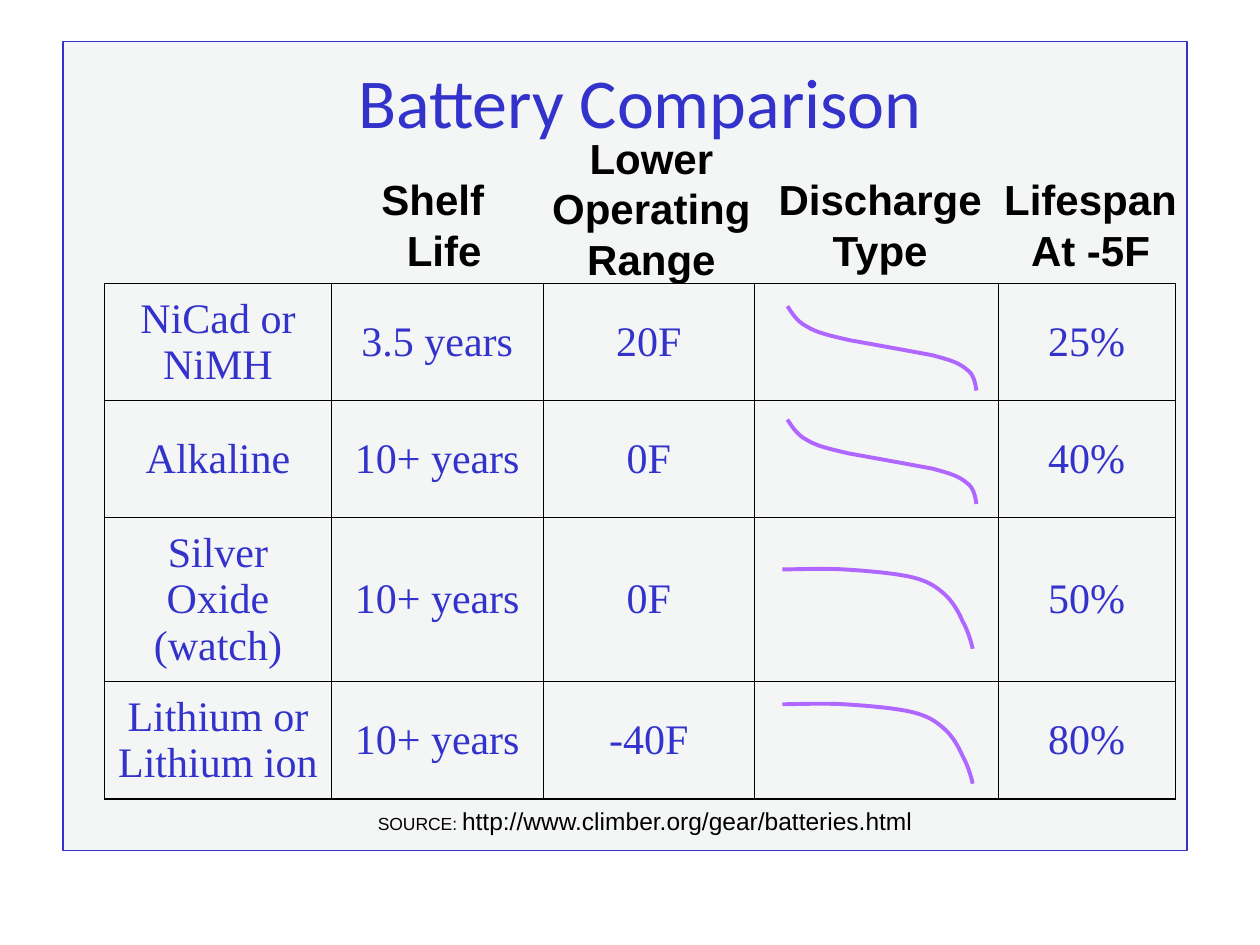
from lxml import etree
from pptx import Presentation
from pptx.dml.color import RGBColor
from pptx.enum.shapes import MSO_SHAPE
from pptx.enum.text import MSO_ANCHOR, PP_ALIGN
from pptx.oxml.ns import qn
from pptx.util import Inches, Pt

BLUE = RGBColor(0x33, 0x33, 0xCC)
PURPLE = RGBColor(0xAF, 0x67, 0xFF)
PALE = RGBColor(0xE8, 0xEA, 0xE9)
BLACK = RGBColor(0, 0, 0)

COL_WIDTHS = [1.8, 1.68, 1.68, 1.93, 1.41]
ROW_HEIGHTS = [0.93, 0.93, 1.3, 0.93]
BATTERIES = [
    ("NiCad or NiMH", "3.5 years", "20F", "", "25%"),
    ("Alkaline", "10+ years", "0F", "", "40%"),
    ("Silver Oxide (watch)", "10+ years", "0F", "", "50%"),
    ("Lithium or Lithium ion", "10+ years", "-40F", "", "80%"),
]
# left, top, width, height, lines, wrap, hanging indent
HEADERS = [
    (2.92, 1.33, 1.03, 0.9, ["Shelf Life"], True, 0.18),
    (4.17, 1, 2, 1.3, ["Lower Operating Range"], True, 0),
    (6.08, 1.33, 1.81, 0.9, ["Discharge", "Type"], False, 0),
    (7.87, 1.33, 1.57, 0.9, ["Lifespan", "At -5F"], False, 0),
]
# Bezier points relative to the curve's start: start, then two controls and an end per piece
SLOPING = [(0, 0), (0.02, 0.03), (0.07, 0.12), (0.15, 0.16),
           (0.23, 0.21), (0.32, 0.23), (0.49, 0.27),
           (0.66, 0.3), (0.99, 0.36), (1.15, 0.39),
           (1.3, 0.43), (1.36, 0.45), (1.42, 0.5),
           (1.48, 0.54), (1.49, 0.61), (1.5, 0.67)]
FLAT = [(0, 0), (0.08, 0), (0.32, -0.01), (0.49, 0),
        (0.66, 0.01), (0.89, 0.03), (1.02, 0.06),
        (1.15, 0.09), (1.21, 0.13), (1.28, 0.19),
        (1.35, 0.25), (1.4, 0.34), (1.43, 0.41),
        (1.47, 0.48), (1.5, 0.58), (1.51, 0.63)]
CURVES = [(6.25, 2.43, SLOPING), (6.21, 4.52, FLAT),
          (6.21, 5.59, FLAT), (6.25, 3.33, SLOPING)]


def set_font(font, name, size, color, bold=False):
    font.name, font.size, font.bold = name, Pt(size), bold
    font.color.rgb = color


def add_frame(s):
    sp = s.shapes.add_shape(MSO_SHAPE.RECTANGLE, Inches(0.5), Inches(0.33),
                            Inches(8.92), Inches(6.42))
    sp.shadow.inherit = False
    sp.fill.solid()
    sp.fill.fore_color.rgb = PALE
    color = sp.fill._xPr.find(qn("a:solidFill"))[0]
    etree.SubElement(color, qn("a:alpha"), val="44000")
    sp.line.color.rgb = BLUE
    sp.line.width = Pt(0.75)


def add_text(s, box, lines, name, size, color, bold=False, wrap=True, spacing=None):
    """Add a text box of centred paragraphs and return its text frame."""
    tf = s.shapes.add_textbox(*map(Inches, box)).text_frame
    tf.word_wrap = wrap
    tf.text = "\n".join(lines)
    for p in tf.paragraphs:
        p.alignment = PP_ALIGN.CENTER
        if spacing:
            p.line_spacing = Pt(spacing)
        set_font(p.font, name, size, color, bold)
    return tf


def add_header(s, box, lines, wrap, hanging):
    tf = add_text(s, box, lines, "Arial", 24, BLACK, bold=True, wrap=wrap, spacing=28.9)
    if hanging:
        p_pr = tf.paragraphs[0]._p.get_or_add_pPr()
        p_pr.set("marL", str(Inches(hanging)))
        p_pr.set("indent", str(-Inches(hanging)))


def add_source(s):
    tf = add_text(s, (2.9, 6.35, 4.46, 0.34), [""], "Arial", 10, BLACK, wrap=False)
    p = tf.paragraphs[0]
    p.alignment = PP_ALIGN.LEFT
    for text, size in (("SOURCE: ", 10), ("http://www.climber.org/gear/batteries.html", 14)):
        r = p.add_run()
        r.text = text
        set_font(r.font, "Arial", size, BLACK)


def set_borders(cell, outer):
    """Draw all four borders, thicker on the sides named in outer."""
    tc_pr = cell._tc.get_or_add_tcPr()
    for i, side in enumerate("LRTB"):
        width = Pt(1.08 if side in outer else 0.45)
        ln = etree.Element(qn(f"a:ln{side}"), w=str(int(width)))
        fill = etree.SubElement(ln, qn("a:solidFill"))
        etree.SubElement(fill, qn("a:srgbClr"), val=str(BLACK))
        tc_pr.insert(i, ln)


def add_battery_table(s):
    n_rows, n_cols = len(ROW_HEIGHTS), len(COL_WIDTHS)
    table = s.shapes.add_table(n_rows, n_cols, Inches(0.83), Inches(2.25),
                               Inches(sum(COL_WIDTHS)), Inches(sum(ROW_HEIGHTS))).table
    table.first_row = table.horz_banding = False
    for column, width in zip(table.columns, COL_WIDTHS):
        column.width = Inches(width)
    for i, (row, height) in enumerate(zip(table.rows, ROW_HEIGHTS)):
        row.height = Inches(height)
        for j, cell in enumerate(row.cells):
            cell.fill.background()
            cell.vertical_anchor = MSO_ANCHOR.MIDDLE
            cell.text = BATTERIES[i][j]
            p = cell.text_frame.paragraphs[0]
            p.alignment = PP_ALIGN.CENTER
            set_font(p.font, "Times New Roman", 24, BLUE)
            edges = {"L": j == 0, "R": j == n_cols - 1, "T": i == 0, "B": i == n_rows - 1}
            set_borders(cell, [side for side, on_edge in edges.items() if on_edge])


def bend_segments(sp):
    """Turn each three straight segments of the outline into one Bezier curve."""
    outline = next(sp._element.iter(qn("a:path")))
    segments = outline.findall(qn("a:lnTo"))
    for k in range(0, len(segments), 3):
        curve = etree.SubElement(outline, qn("a:cubicBezTo"))
        for segment in segments[k:k + 3]:
            curve.append(segment[0])
            outline.remove(segment)


def add_discharge_curve(s, left, top, points):
    corners = [(Inches(left + x), Inches(top + y)) for x, y in points]
    builder = s.shapes.build_freeform(*corners[0])
    builder.add_line_segments(corners[1:], close=False)
    sp = builder.convert_to_shape()
    bend_segments(sp)
    sp.shadow.inherit = False
    sp.fill.background()
    sp.line.color.rgb = PURPLE
    sp.line.width = Pt(2.25)


def main():
    prs = Presentation()
    prs.slide_width, prs.slide_height = Inches(10), Inches(7.5)
    s = prs.slides.add_slide(prs.slide_layouts[6])
    add_frame(s)
    title = add_text(s, (0.83, 0.17, 8.5, 1.25), ["Battery Comparison"], "Calibri", 40, BLUE)
    title.vertical_anchor = MSO_ANCHOR.MIDDLE
    add_battery_table(s)
    for *box, lines, wrap, hanging in HEADERS:
        add_header(s, box, lines, wrap, hanging)
    add_source(s)
    for left, top, points in CURVES:
        add_discharge_curve(s, left, top, points)
    prs.save("out.pptx")


if __name__ == "__main__":
    main()
